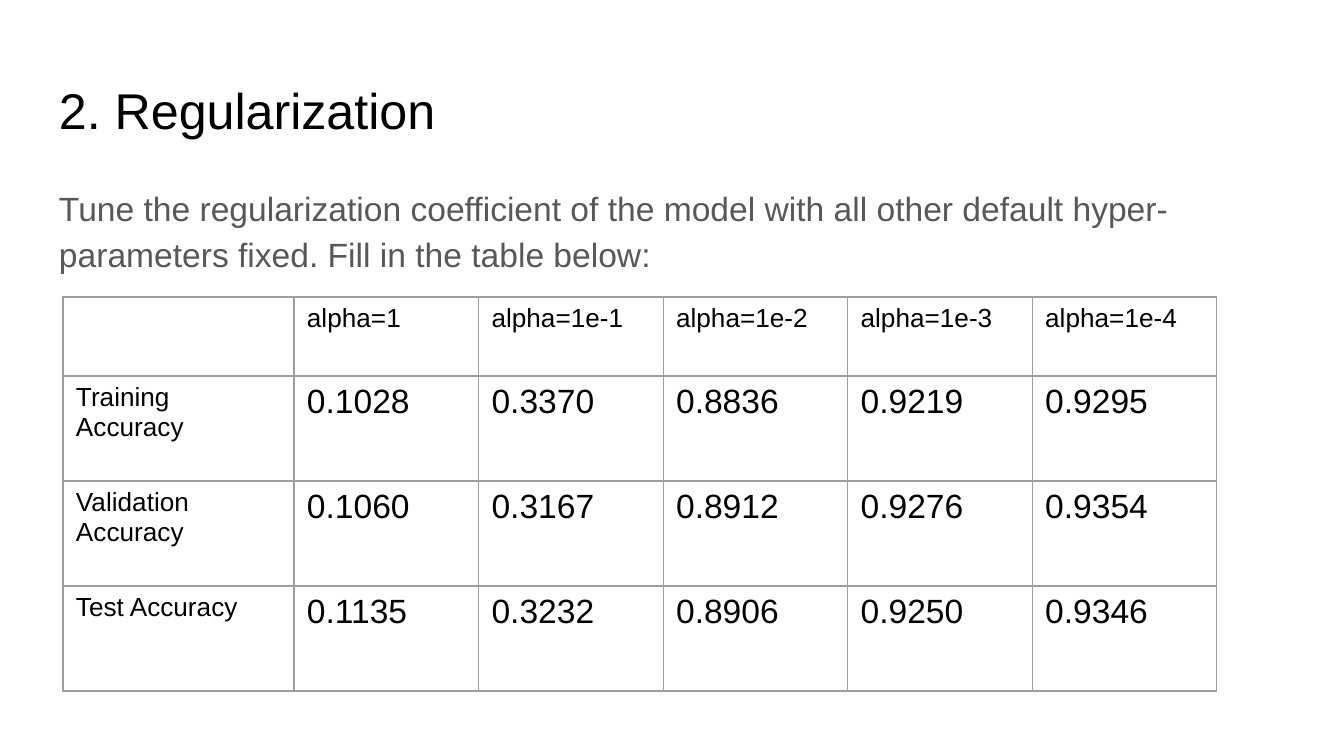
from pptx import Presentation
from pptx.dml.color import RGBColor
from pptx.enum.text import MSO_ANCHOR as Anchor, MSO_AUTO_SIZE as AutoSize, PP_ALIGN as Align
from pptx.oxml import parse_xml
from pptx.oxml.ns import nsdecls
from pptx.util import Pt

PX = 914400 / 134.4
FRAME = dict(word_wrap=True, auto_size=AutoSize.NONE, vertical_anchor=Anchor.TOP)
ACCURACY = [
    ["", "alpha=1", "alpha=1e-1", "alpha=1e-2", "alpha=1e-3", "alpha=1e-4"],
    ["Training Accuracy", "0.1028", "0.3370", "0.8836", "0.9219", "0.9295"],
    ["Validation Accuracy", "0.1060", "0.3167", "0.8912", "0.9276", "0.9354"],
    ["Test Accuracy", "0.1135", "0.3232", "0.8906", "0.9250", "0.9346"],
]


def px(n):
    """Turn picture pixels into EMU."""
    return round(n * PX)


def rgb(value):
    """Turn a hex string into a colour."""
    return RGBColor.from_string(value)


def assign(obj, values):
    """Set each attribute of an object from a dict."""
    for name, value in values.items():
        setattr(obj, name, value)


def write(tf, text, size, color, **spacing):
    """Write one formatted paragraph into a text frame."""
    p = tf.paragraphs[0]
    assign(p, dict(alignment=Align.LEFT, **spacing))
    r = p.add_run()
    r.text = text
    assign(r.font, dict(name="Arial", size=Pt(size), bold=False))
    r.font.color.rgb = rgb(color)
    return p


def fill_placeholder(sp, box, text, size, color, **spacing):
    """Place a placeholder in its box and write plain text in it."""
    assign(sp, dict(zip(("left", "top", "width", "height"), map(px, box))))
    tf = sp.text_frame
    assign(tf, FRAME)
    assign(tf, {f"margin_{side}": px(13) for side in ("left", "top", "right", "bottom")})
    pPr = write(tf, text, size, color, **spacing)._p.get_or_add_pPr()
    pPr.set("marL", "0")
    pPr.set("indent", "0")
    pPr.append(parse_xml(f"<a:buNone {nsdecls('a')}/>"))


def add_borders(cell, color, width):
    """Draw a solid line on each side of a cell."""
    tcPr = cell._tc.get_or_add_tcPr()
    for i, side in enumerate("LRTB"):
        tcPr.insert(i, parse_xml(
            f'<a:ln{side} {nsdecls("a")} w="{Pt(width)}"><a:solidFill>'
            f'<a:srgbClr val="{color}"/></a:solidFill></a:ln{side}>'))


def add_accuracy_table(slide, box, rows, label_width, header_height):
    """Add the grid with a label column, a header row and equal value cells."""
    x, y, w, h = box
    n_rows, n_cols = len(rows), len(rows[0])
    table = slide.shapes.add_table(n_rows, n_cols, *map(px, box)).table
    assign(table, dict(first_row=False, horz_banding=False))
    for i, col in enumerate(table.columns):
        col.width = px((w - label_width) / (n_cols - 1) if i else label_width)
    for i, row in enumerate(table.rows):
        row.height = px((h - header_height) / (n_rows - 1) if i else header_height)
    for i, row in enumerate(rows):
        for j, text in enumerate(row):
            cell = table.cell(i, j)
            assign(cell, dict(margin_left=px(13), margin_right=px(13),
                              margin_top=px(7), margin_bottom=px(7)))
            cell.fill.background()
            add_borders(cell, "9E9E9E", 0.75)
            if text:
                write(cell.text_frame, text, 18 if i and j else 14, "000000")


def build_results_slide(prs):
    """Build the slide with title, task and results."""
    slide = prs.slides.add_slide(prs.slide_layouts[1])
    title, body = slide.placeholders
    fill_placeholder(title, (46, 66, 1253, 84), "2. Regularization", 26.9, "000000")
    fill_placeholder(
        body, (46, 169, 1253, 128),
        "Tune the regularization coefficient of the model with all other default "
        "hyper-parameters fixed. Fill in the table below:",
        18, "585858", line_spacing=1.15, space_before=Pt(16))
    add_accuracy_table(slide, (63, 297, 1154, 394), ACCURACY, 231, 79)


prs = Presentation()
assign(prs, dict(slide_width=px(1344), slide_height=px(756)))
build_results_slide(prs)
prs.save("out.pptx")
